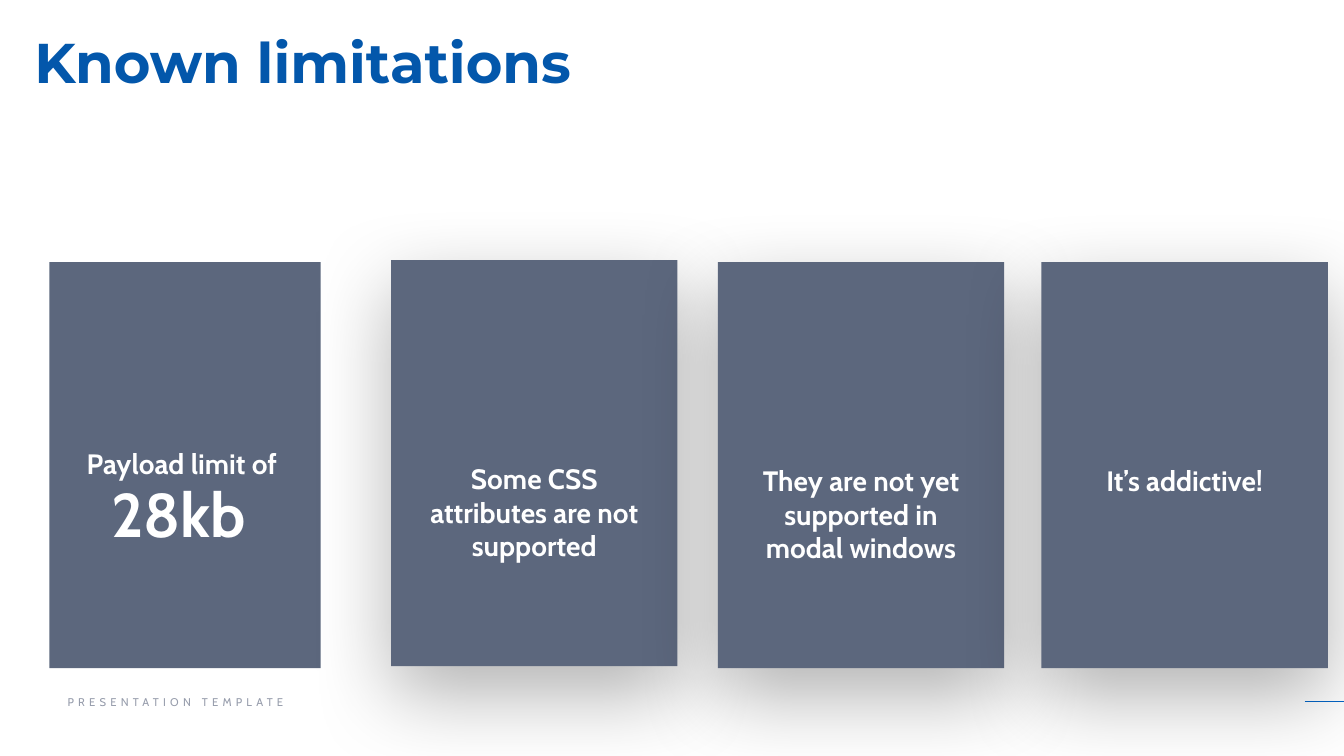
from dataclasses import dataclass

from lxml.etree import SubElement
from pptx import Presentation
from pptx.dml.color import RGBColor
from pptx.enum.shapes import MSO_CONNECTOR as Connector, MSO_SHAPE as Shape
from pptx.enum.text import MSO_ANCHOR as Anchor, MSO_AUTO_SIZE as AutoSize, PP_ALIGN as Align
from pptx.oxml.ns import qn
from pptx.util import Inches, Pt


@dataclass(frozen=True)
class Theme:
    title_blue: str = "0357AB"
    line_blue: str = "0466C8"
    card: str = "5C677D"
    card_text: str = "FFFFFF"
    footer: str = "979DAC"
    shadow: str = "000000"
    heading_font: str = "Montserrat"
    body_font: str = "Cabin"
    title_size: int = 40
    figure_size: int = 44
    card_size: int = 20
    footer_size: int = 8


THEME = Theme()
SLIDE_WIDTH, SLIDE_HEIGHT = 13.33, 7.5
CARD_HEIGHT = 4.03
SHADOWED_CARDS = [
    (3.88, 2.58, "Some CSS attributes are not supported"),
    (7.12, 2.6, "They are not yet supported in modal windows"),
    (10.33, 2.6, "It’s addictive!"),
]


def place(shape, box):
    shape.left, shape.top, shape.width, shape.height = map(Inches, box)


def write(shape, text, size, color, font=THEME.body_font, bold=True,
          align=Align.CENTER, anchor=Anchor.TOP, insets=(0, 0, 0, 0)):
    """Fill the shape with one run; insets are left, top, right, bottom."""
    frame = shape.text_frame
    frame.word_wrap = True
    frame.auto_size = AutoSize.NONE
    frame.vertical_anchor = anchor
    (frame.margin_left, frame.margin_top,
     frame.margin_right, frame.margin_bottom) = map(Inches, insets)
    paragraph = frame.paragraphs[0]
    paragraph.alignment = align
    paragraph.line_spacing = 1.0
    paragraph.space_before = Pt(0)
    run = paragraph.add_run()
    run.text = text
    run.font.name = font
    run.font.size = Pt(size)
    run.font.bold = bold
    run.font.color.rgb = RGBColor.from_string(color)
    return run


def cast_shadow(shape):
    """Add a soft black shadow that falls straight down."""
    effects = shape._element.spPr.find(qn("a:effectLst"))
    shadow = SubElement(effects, qn("a:outerShdw"), blurRad=str(Pt(60)),
                        dist=str(Pt(20)), dir="5400000", rotWithShape="0")
    color = SubElement(shadow, qn("a:srgbClr"), val=THEME.shadow)
    SubElement(color, qn("a:alpha"), val="30000")


def add_title(slide, box):
    title = slide.shapes.title
    place(title, box)
    write(title, "Known limitations", THEME.title_size, THEME.title_blue,
          font=THEME.heading_font, align=Align.LEFT)


def add_card(slide, box, text, text_top=2.0, shadowed=True):
    card = slide.shapes.add_shape(Shape.RECTANGLE, *map(Inches, box))
    card.fill.solid()
    card.fill.fore_color.rgb = RGBColor.from_string(THEME.card)
    card.line.fill.background()
    card.shadow.inherit = False
    if shadowed:
        cast_shadow(card)
    write(card, text, THEME.card_size, THEME.card_text, insets=(0.3, text_top, 0.3, 0))


def add_payload_card(slide, box):
    """Add the flat first card with its large figure."""
    left, top, _, _ = box
    add_card(slide, box, "Payload limit of ", text_top=1.83, shadowed=False)
    figure_box = (left + 0.39, top + 2.07, 1.78, 0.84)
    figure = slide.shapes.add_textbox(*map(Inches, figure_box))
    write(figure, "28kb", THEME.figure_size, THEME.card_text, insets=(0, 0.05, 0, 0.05))


def add_footer(slide, box):
    left, top, width, height = box
    label = slide.shapes.add_textbox(*map(Inches, (left, top, 3.81, height)))
    run = write(label, "PRESENTATION TEMPLATE", THEME.footer_size, THEME.footer,
                bold=False, align=Align.LEFT, anchor=Anchor.MIDDLE,
                insets=(0, 0.05, 0.1, 0.05))
    run.font._element.set("spc", "300")

    right, middle = left + width, top + height / 2
    line = slide.shapes.add_connector(
        Connector.STRAIGHT, *map(Inches, (right - 0.39, middle, right, middle)))
    line.line.color.rgb = RGBColor.from_string(THEME.line_blue)
    line.line.width = Pt(1.25)
    SubElement(line._element.spPr, qn("a:effectLst"))


def main():
    presentation = Presentation()
    presentation.slide_width = Inches(SLIDE_WIDTH)
    presentation.slide_height = Inches(SLIDE_HEIGHT)
    slide = presentation.slides.add_slide(presentation.slide_layouts[5])

    add_footer(slide, (0.67, 6.84, SLIDE_WIDTH - 0.67, 0.24))
    add_title(slide, (0.34, 0.27, 12, 0.67))
    add_payload_card(slide, (0.49, 2.6, 2.69, CARD_HEIGHT))
    for left, top, text in SHADOWED_CARDS:
        add_card(slide, (left, top, 2.84, CARD_HEIGHT), text)

    presentation.save("out.pptx")


if __name__ == "__main__":
    main()
